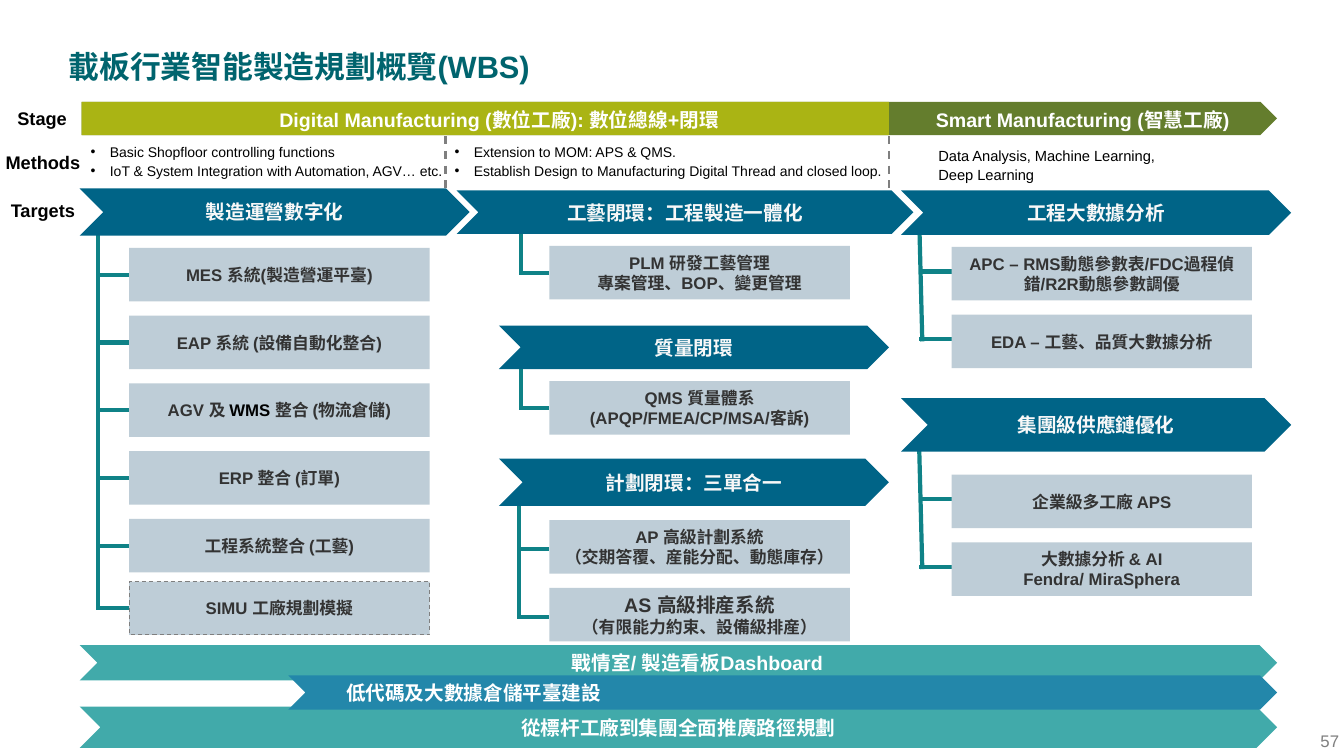
from pptx import Presentation
from pptx.util import Pt
from pptx.dml.color import RGBColor
from pptx.enum.dml import MSO_LINE
from pptx.enum.shapes import MSO_CONNECTOR, MSO_SHAPE
from pptx.enum.text import MSO_ANCHOR, PP_ALIGN
from pptx.oxml.ns import qn
from lxml import etree

TITLE = "載板行業智能製造規劃概覽(WBS)"
STAGES = [
    ("homePlate", (58.3, 72.7, 853.9, 23.8), "647D2D"),
    ("rect", (58.3, 72.7, 576.7, 23.8), "AAB414"),
]
STAGE_NAMES = [
    ((167.8, 74.2, 377.3, 20.2), "Digital Manufacturing (數位工廠): 數位總線+閉環"),
    ((626.4, 73.4, 293.8, 22.3), "Smart Manufacturing (智慧工廠)"),
]
ROW_LABELS = [
    ((10.1, 74.9, 40, 21.6), "Stage"),
    ((3.6, 106.6, 54, 20.2), "Methods"),
    ((3.6, 141.1, 54, 20.2), "Targets"),
]
METHODS = [
    ((64.8, 101.5, 259.9, 31), 10, True,
     ["Basic Shopfloor controlling functions",
      "IoT & System Integration with Automation, AGV… etc."]),
    ((324.7, 101.5, 306, 53.3), 10, True,
     ["Extension to MOM: APS & QMS.",
      "Establish Design to Manufacturing Digital Thread and closed loop."]),
    ((670.3, 103.7, 169.2, 44.6), 10.5, False,
     ["Data Analysis, Machine Learning, Deep Learning"]),
]
DIVIDERS = [318.2, 635]
DIVIDER_TOP, DIVIDER_BOTTOM = 97.2, 134.6

BOX_W, BOX_H, PITCH = 214.6, 38.2, 48.4
LEFT, MIDDLE, RIGHT = 92.2, 392.4, 679.7
GROUPS = [
    {"target": "製造運營數字化", "chevron": (56.9, 134.6, 278.6, 33.8),
     "trunk": (69.8, 160), "lean": 0, "drop": 0, "left": LEFT, "top": 177.1,
     "boxes": [["MES 系統(製造營運平臺)"],
               ["EAP 系統 (設備自動化整合)"],
               [[("AGV 及 ", {}), ("WMS ", {"color": "000000"}), ("整合 (物流倉儲)", {})]],
               ["ERP 整合 (訂單)"],
               ["工程系統整合 (工藝)"]]},
    {"target": "工藝閉環：工程製造一體化", "chevron": (326.2, 136.1, 326.2, 31),
     "trunk": (371.9, 157), "lean": 0, "drop": 0, "left": MIDDLE, "top": 175.7,
     "boxes": [["PLM 研發工藝管理", "專案管理、BOP、變更管理"]]},
    {"target": "質量閉環", "chevron": (356.4, 232.6, 278.6, 31),
     "trunk": (371.9, 257), "lean": 0, "drop": 0, "left": MIDDLE, "top": 272.2,
     "boxes": [["QMS 質量體系", "(APQP/FMEA/CP/MSA/客訴)"]]},
    {"target": "計劃閉環：三單合一", "chevron": (356.4, 327.6, 278.6, 33.8),
     "trunk": (370.8, 359.3), "lean": 0, "drop": 1.5, "left": MIDDLE, "top": 371.5,
     "boxes": [["AP 高級計劃系統", "（交期答覆、産能分配、動態庫存）"],
               [[("AS 高級排産系統", {"size": 14})], "（有限能力約束、設備級排産）"]]},
    {"target": "工程大數據分析", "chevron": (643.7, 136.1, 278.6, 31.7),
     "trunk": (656.6, 157), "lean": 2.2, "drop": -1.5, "left": RIGHT, "top": 176.4,
     "boxes": [["APC – RMS動態參數表/FDC過程偵錯/R2R動態參數調優"],
               ["EDA – 工藝、品質大數據分析"]]},
    {"target": "集團級供應鏈優化", "chevron": (643.7, 284.4, 278.6, 38.2),
     "trunk": (656.6, 320.4), "lean": 2.2, "drop": -1.5, "left": RIGHT, "top": 339.1,
     "boxes": [["企業級多工廠 APS"],
               ["大數據分析 & AI", "Fendra/ MiraSphera"]]},
]
SIMULATION_TOP, SIMULATION = 415.4, ["SIMU 工廠規劃模擬"]
PLATFORMS = [
    ((56.9, 504.7, 855.4, 29.5), "41AAAA", "從標杆工廠到集團全面推廣路徑規劃", PP_ALIGN.CENTER, 5.8),
    ((56.9, 460.8, 855.4, 25.2), "41AAAA", "戰情室/ 製造看板Dashboard", PP_ALIGN.CENTER, 33),
    ((205.9, 482.4, 706.3, 24.5), "2387AA", "低代碼及大數據倉儲平臺建設", PP_ALIGN.LEFT, 29),
]
PAGE = "57"

KINDS = {"rect": MSO_SHAPE.RECTANGLE, "chevron": MSO_SHAPE.CHEVRON,
         "homePlate": MSO_SHAPE.PENTAGON}
BOX_FONT = {"size": 12, "bold": True, "color": "333333"}
TARGET_FONT = {"size": 14, "bold": True, "color": "F8F8F8"}
BAR_FONT = {"size": 14, "bold": True, "color": "FFFFFF"}

prs = Presentation()
prs.slide_width, prs.slide_height = Pt(960), Pt(540)
shapes = prs.slides.add_slide(prs.slide_layouts[6]).shapes


def paint(target, color):
    target.rgb = RGBColor.from_string(color)


def add_bullet(p):
    pPr = p._p.get_or_add_pPr()
    pPr.set("marL", str(Pt(13.7)))
    pPr.set("indent", str(-Pt(13.7)))
    etree.SubElement(pPr, qn("a:buFont")).set("typeface", "Arial")
    etree.SubElement(pPr, qn("a:buChar")).set("char", "•")


def write(s, lines, font, align=PP_ALIGN.CENTER, insets=(0, 0, 0, 0),
          anchor=MSO_ANCHOR.MIDDLE, spacing=None, bullet=False, wrap=True):
    tf = s.text_frame
    frame = {"word_wrap": wrap, "vertical_anchor": anchor}
    frame.update(zip(("margin_left", "margin_top", "margin_right", "margin_bottom"),
                     map(Pt, insets)))
    for name, value in frame.items():
        setattr(tf, name, value)
    for i, line in enumerate(lines):
        p = tf.add_paragraph() if i else tf.paragraphs[0]
        p.alignment = align
        if spacing:
            p.line_spacing = spacing
        if bullet:
            add_bullet(p)
        for text, changes in ([(line, {})] if isinstance(line, str) else line):
            r = p.add_run()
            r.text = text
            look = {**font, **changes}
            paint(r.font.color, look.pop("color"))
            look.update(size=Pt(look["size"]), name="Arial")
            for name, value in look.items():
                setattr(r.font, name, value)


def add_block(kind, place, color):
    s = shapes.add_shape(KINDS[kind], *map(Pt, place))
    s.shadow.inherit = False
    s.fill.solid()
    paint(s.fill.fore_color, color)
    s.line.fill.background()
    return s


def add_text(place, lines, font, **layout):
    write(shapes.add_textbox(*map(Pt, place)), lines, font, **layout)


def add_line(x1, y1, x2, y2, color="0F8287", width=3, dash=None):
    c = shapes.add_connector(MSO_CONNECTOR.STRAIGHT, *map(Pt, (x1, y1, x2, y2)))
    etree.SubElement(c._element.spPr, qn("a:effectLst"))
    paint(c.line.color, color)
    c.line.width = Pt(width)
    if dash:
        c.line.dash_style = dash


def add_box(left, top, lines):
    s = add_block("rect", (left, top, BOX_W, BOX_H), "BECDD7")
    write(s, lines, BOX_FONT, insets=(8.6, 4.3, 8.6, 4.3))
    return s


def add_group(group):
    tops = [group["top"] + PITCH * i for i in range(len(group["boxes"]))]
    branches = [top + BOX_H / 2 + group["drop"] for top in tops]
    if group["left"] == LEFT:
        branches.append(SIMULATION_TOP + BOX_H / 2)
    x, start = group["trunk"]
    add_line(x, start, x + group["lean"], branches[-1] + 1.5)
    for y in branches:
        add_line(x, y, group["left"], y)
    s = add_block("chevron", group["chevron"], "006487")
    write(s, [group["target"]], TARGET_FONT, insets=(5.8, 0, 5.8, 0))
    for top, lines in zip(tops, group["boxes"]):
        add_box(group["left"], top, lines)


add_text((49, 33.8, 644, 36), [TITLE], {"size": 22, "bold": True, "color": "00646E"},
         align=PP_ALIGN.LEFT, anchor=MSO_ANCHOR.TOP)
for stage in STAGES:
    add_block(*stage)
for place, text in STAGE_NAMES:
    add_text(place, [text], BAR_FONT, spacing=1.1)
for place, text in ROW_LABELS:
    add_text(place, [text], {"size": 13, "bold": True, "color": "000000"},
             anchor=MSO_ANCHOR.TOP, spacing=1.1, wrap=False)
for place, size, bullet, lines in METHODS:
    add_text(place, lines, {"size": size, "color": "000000"}, align=PP_ALIGN.LEFT,
             anchor=MSO_ANCHOR.TOP, spacing=1.1, bullet=bullet)
for x in DIVIDERS:
    add_line(x, DIVIDER_TOP, x, DIVIDER_BOTTOM, "7F7F7F", 1.5, MSO_LINE.DASH)
for group in GROUPS:
    add_group(group)
simulation = add_box(LEFT, SIMULATION_TOP, SIMULATION)
paint(simulation.line.color, "7F7F7F")
simulation.line.width = Pt(0.75)
simulation.line.dash_style = MSO_LINE.DASH
for place, color, text, align, inset in PLATFORMS:
    write(add_block("chevron", place, color), [text], BAR_FONT, align, (inset, 0, 5.8, 0))
add_text((943.2, 522, 15, 16), [PAGE], {"size": 12, "color": "7F7F7F"},
         align=PP_ALIGN.LEFT, anchor=MSO_ANCHOR.TOP, wrap=False)

prs.save("out.pptx")
